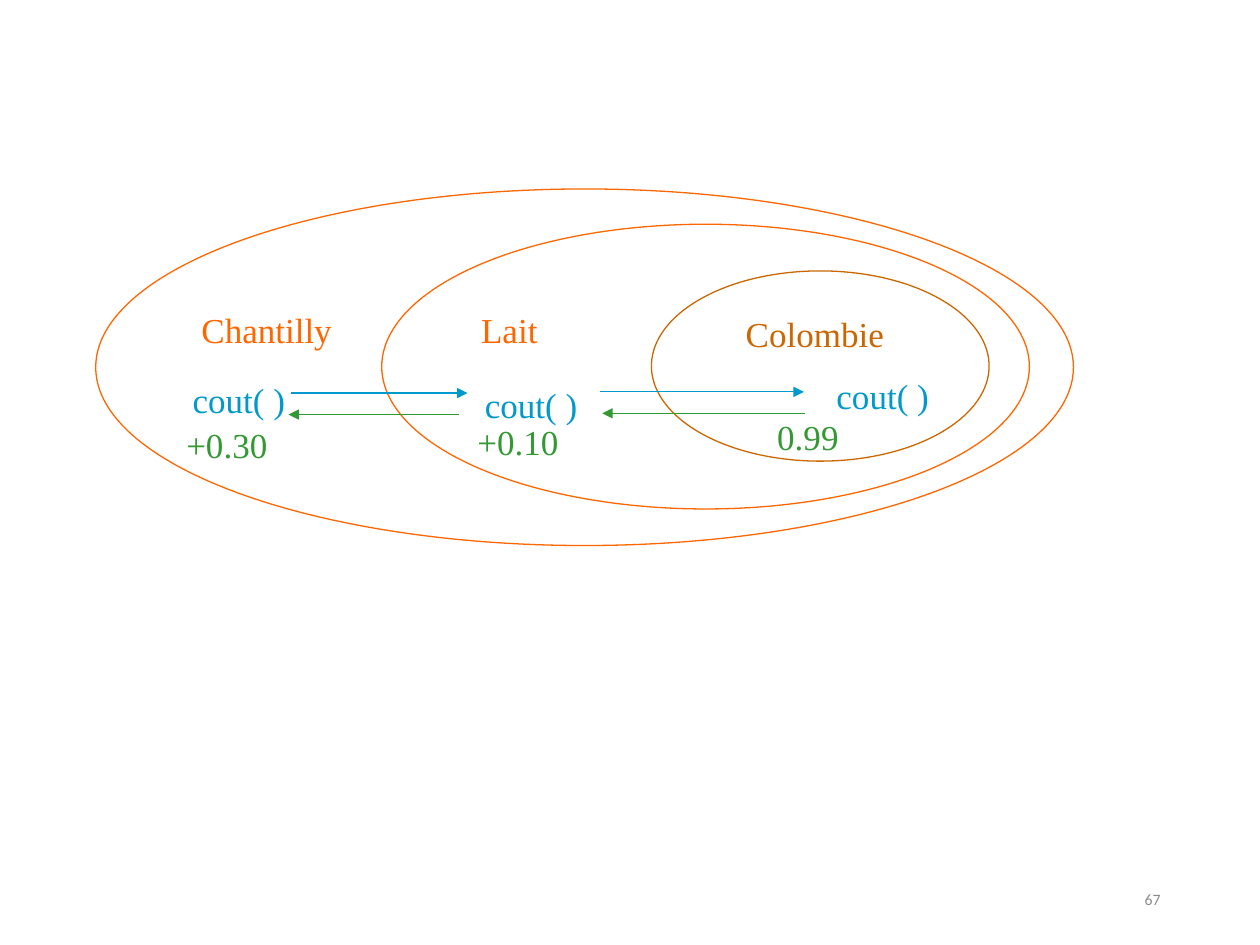
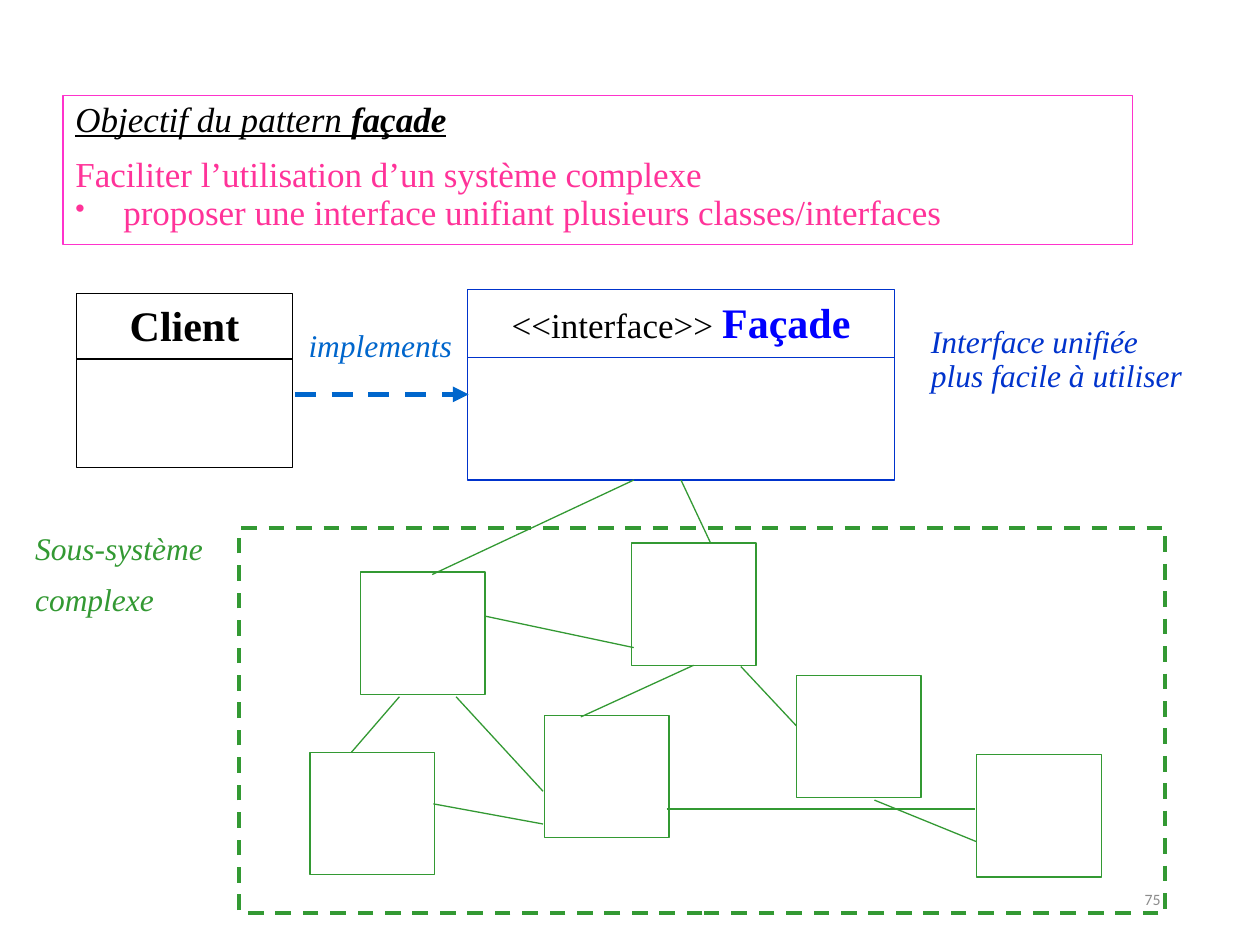
from lxml import etree
from pptx import Presentation
from pptx.dml.color import RGBColor
from pptx.enum.dml import MSO_LINE_DASH_STYLE as Dash
from pptx.enum.shapes import MSO_CONNECTOR as Connector, MSO_SHAPE as Shape
from pptx.enum.text import MSO_ANCHOR as Anchor, PP_ALIGN as Align
from pptx.oxml.ns import qn
from pptx.util import Inches, Pt

SERIF, SANS = "Times New Roman", "Calibri"
BLACK, GREY = "000000", "8C8C8C"
ORANGE, BROWN, CYAN, GREEN = "FF6600", "CC6600", "0099CC", "339933"
PINK, MAGENTA = "FF3399", "FF33CC"
NAVY, BLUE, MID_BLUE = "0033CC", "0000FF", "0066CC"
TOP, LEFT, BOTTOM, RIGHT = range(4)


def color(hex_text):
    return RGBColor.from_string(hex_text)


def add_span(para, text, size=20, ink=BLACK, font=SERIF,
             bold=False, italic=False, underline=False):
    span = para.add_run()
    span.text = text
    span.font.name, span.font.size = font, Pt(size)
    span.font.color.rgb = color(ink)
    span.font.bold, span.font.italic = bold, italic
    span.font.underline = underline


def add_para(box, align=Align.LEFT, before=0, spacing=0.9):
    """Use the empty first paragraph of the box, or append another one."""
    frame = box.text_frame
    first = frame.paragraphs[0]
    para = frame.add_paragraph() if first.runs else first
    para.alignment, para.line_spacing = align, spacing
    para.space_before = Pt(before)
    return para


def add_bullet(para, char="•", indent=0.38, percent=80):
    props = para._p.get_or_add_pPr()
    props.set("marL", str(Inches(indent)))
    props.set("indent", str(-Inches(indent)))
    etree.SubElement(props, qn("a:buSzPct")).set("val", str(percent * 1000))
    etree.SubElement(props, qn("a:buChar")).set("char", char)


def add_label(page, left, top, width, height, lines, align=Align.LEFT,
              anchor=Anchor.TOP, before=0, **style):
    box = page.shapes.add_textbox(*map(Inches, (left, top, width, height)))
    box.text_frame.word_wrap = True
    box.text_frame.vertical_anchor = anchor
    for number, line in enumerate(lines.split("\n")):
        para = add_para(box, align, before if number else 0)
        add_span(para, line, **style)


def set_line(line, ink, weight, dashed):
    line.color.rgb, line.width = color(ink), Pt(weight)
    if dashed:
        line.dash_style = Dash.DASH


def add_outline(page, left, top, width, height, ink,
                kind=Shape.RECTANGLE, weight=0.75, dashed=False):
    shape = page.shapes.add_shape(kind, *map(Inches, (left, top, width, height)))
    shape.shadow.inherit = False
    shape.fill.background()
    set_line(shape.line, ink, weight, dashed)
    shape.text_frame.word_wrap = True
    shape.text_frame.vertical_anchor = Anchor.TOP
    return shape


def add_link(page, x1, y1, x2, y2, ink, weight=0.75, dashed=False, arrow=False):
    link = page.shapes.add_connector(
        Connector.STRAIGHT, *map(Inches, (x1, y1, x2, y2)))
    set_line(link.line, ink, weight, dashed)
    if arrow:
        line = link.line._get_or_add_ln()
        etree.SubElement(line, qn("a:tailEnd")).set("type", "triangle")
    etree.SubElement(link._element.spPr, qn("a:effectLst"))
    return link


def add_page(deck, number):
    page = deck.slides.add_slide(deck.slide_layouts[6])
    add_label(page, 7.06, 6.95, 2.25, 0.4, number, align=Align.RIGHT,
              anchor=Anchor.MIDDLE, size=9, ink=GREY, font=SANS)
    return page


def draw_decorators(page, left, top):
    """Nested ovals, each one asking the next inner one for its cost."""
    ovals = [(2.27, 0.28, 5.14, 2.26, ORANGE), (0, 0, 7.76, 2.83, ORANGE),
             (4.41, 0.65, 2.68, 1.51, BROWN)]
    labels = [("Chantilly", 0.74, 0.94, ORANGE), ("Lait", 2.96, 0.94, ORANGE),
              ("Colombie", 5.06, 0.97, BROWN),
              ("cout( )", 0.67, 1.49, CYAN), ("cout( )", 2.99, 1.53, CYAN),
              ("cout( )", 5.78, 1.46, CYAN),
              ("+0.30", 0.62, 1.85, GREEN), ("+0.10", 2.93, 1.83, GREEN),
              ("0.99", 5.31, 1.79, GREEN)]
    calls = [(1.55, 2.95, 1.62, CYAN), (4, 5.62, 1.61, CYAN),
             (5.63, 4.02, 1.78, GREEN), (2.88, 1.53, 1.79, GREEN)]
    for x, y, width, height, ink in ovals:
        add_outline(page, left + x, top + y, width, height, ink, kind=Shape.OVAL)
    for text, x, y, ink in labels:
        add_label(page, left + x, top + y, 1.69, 0.4, text, ink=ink)
    for start, end, y, ink in calls:
        add_link(page, left + start, top + y, left + end, top + y, ink, arrow=True)


def draw_goal(page, left, top, width, height):
    box = add_outline(page, left, top, width, height, MAGENTA)
    heading = add_para(box)
    add_span(heading, "Objectif du pattern ", italic=True, underline=True)
    add_span(heading, "façade", bold=True, italic=True, underline=True)
    add_span(add_para(box, before=10),
             "Faciliter l’utilisation d’un système complexe", ink=PINK)
    point = add_para(box)
    add_bullet(point)
    add_span(point, "proposer une interface unifiant plusieurs classes/interfaces",
             ink=PINK)


def draw_class(page, left, top, width, height, divider, ink, name, name_ink,
               stereotype=""):
    box = add_outline(page, left, top, width, height, ink)
    title = add_para(box, Align.CENTER, spacing=1)
    if stereotype:
        add_span(title, stereotype)
    add_span(title, name, size=24, ink=name_ink, bold=True)
    add_link(page, left, top + divider, left + width, top + divider, ink)
    return box


def draw_subsystem(page, left, top, width, height, facade):
    """Dashed frame with linked classes, two of them reached from the facade."""
    add_outline(page, left, top, width, height, GREEN, weight=2.25, dashed=True)
    corners = [(0.56, 1.78), (0.96, 0.35), (5.85, 1.8),
               (4.42, 1.17), (2.42, 1.49), (3.11, 0.12)]
    parts = [add_outline(page, left + x, top + y, 0.99, 0.97, GREEN)
             for x, y in corners]
    links = [(1.95, 0.7, 3.13, 0.95), (3.13, -0.38, 1.53, 0.37),
             (1.27, 1.34, 0.89, 1.78), (3.98, 1.1, 4.42, 1.57),
             (1.72, 1.34, 2.41, 2.09), (5.04, 2.16, 5.85, 2.49),
             (3.39, 2.23, 5.84, 2.23), (1.54, 2.19, 2.41, 2.35)]
    for x1, y1, x2, y2 in links:
        add_link(page, left + x1, top + y1, left + x2, top + y2, GREEN)
    joined = [(facade, 3.49, -0.38, 3.74, 0.12), (parts[-1], 3.63, 1.09, 2.71, 1.5)]
    for source, x1, y1, x2, y2 in joined:
        link = add_link(page, left + x1, top + y1, left + x2, top + y2, GREEN)
        link.begin_connect(source, BOTTOM)


def build_decorator_page(deck):
    page = add_page(deck, "67")
    draw_decorators(page, 0.76, 1.5)


def build_facade_page(deck):
    page = add_page(deck, "75")
    draw_goal(page, 0.5, 0.76, 8.49, 1.18)
    draw_class(page, 0.61, 2.33, 1.71, 1.38, 0.52, BLACK, "Client", BLACK)
    facade = draw_class(page, 3.71, 2.3, 3.39, 1.51, 0.54, NAVY, "Façade", BLUE,
                        stereotype="<<interface>> ")
    add_link(page, 2.34, 3.13, 3.72, 3.13, MID_BLUE, weight=3, dashed=True, arrow=True)
    draw_subsystem(page, 1.9, 4.19, 7.35, 3.06, facade)
    note = dict(size=18, italic=True)
    add_label(page, 2.35, 2.57, 1.51, 0.4, "implements", ink=MID_BLUE, **note)
    add_label(page, 0.18, 4.18, 2.51, 0.79, "Sous-système\ncomplexe",
              before=10, ink=GREEN, **note)
    add_label(page, 7.29, 2.54, 2.71, 0.65,
              "Interface unifiée\nplus facile à utiliser", ink=NAVY, **note)


def main():
    deck = Presentation()
    deck.slide_width, deck.slide_height = Inches(10), Inches(7.5)
    build_decorator_page(deck)
    build_facade_page(deck)
    deck.save("out.pptx")


if __name__ == "__main__":
    main()
